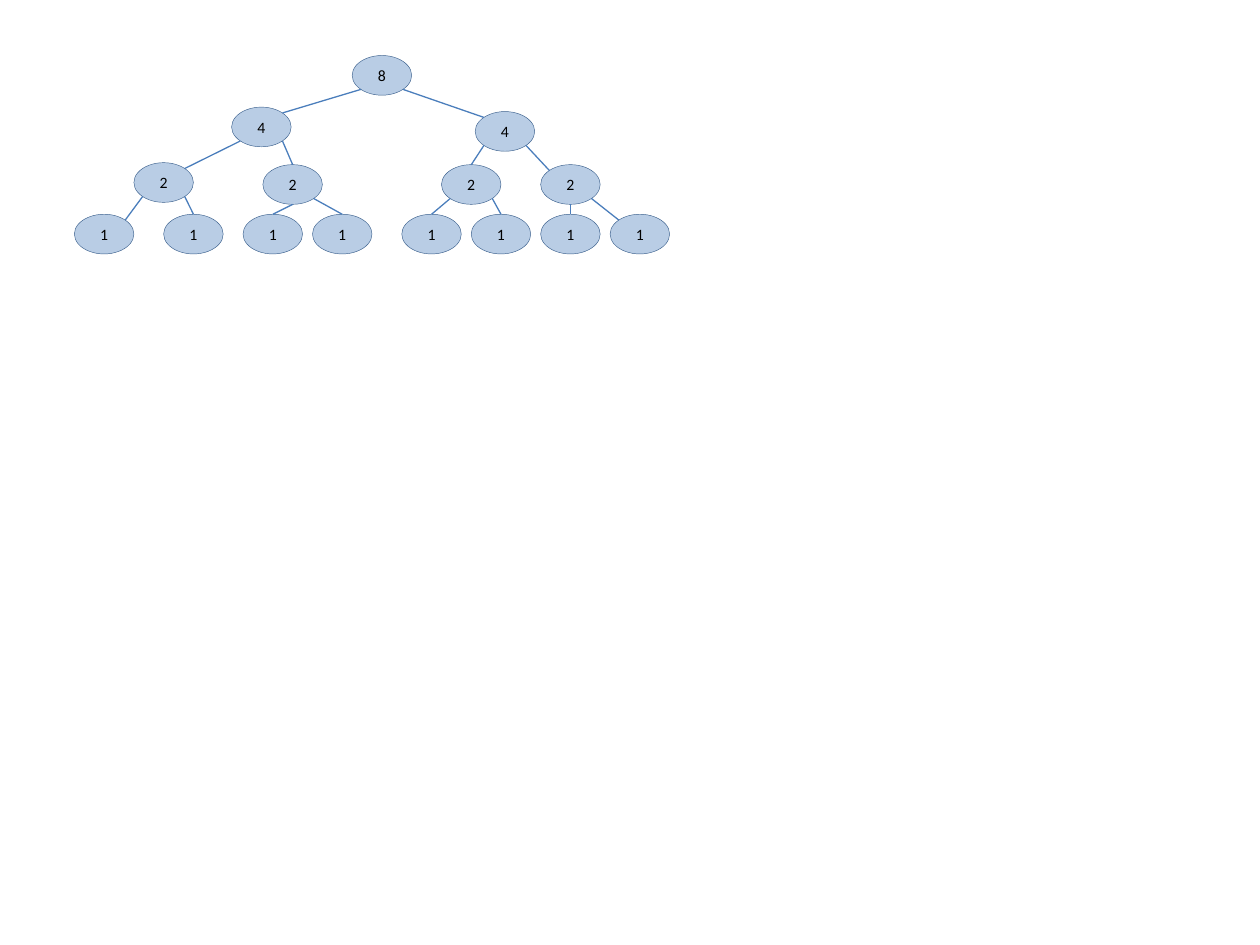
from math import sqrt

from lxml.etree import SubElement
from pptx import Presentation
from pptx.dml.color import RGBColor
from pptx.enum.shapes import MSO_CONNECTOR as Connector, MSO_SHAPE as Shape
from pptx.enum.text import MSO_ANCHOR as Anchor, PP_ALIGN as Align
from pptx.oxml.ns import qn
from pptx.util import Cm, Pt

NODE_WIDTH, NODE_HEIGHT = 1.2, 0.8
DIAGONAL = 1 / sqrt(2)
# Attachment sites on an ellipse, as fractions of its half axes
SITES = {
    "top": (0, -1),
    "bottom": (0, 1),
    "top left": (-DIAGONAL, -DIAGONAL),
    "top right": (DIAGONAL, -DIAGONAL),
    "bottom left": (-DIAGONAL, DIAGONAL),
    "bottom right": (DIAGONAL, DIAGONAL),
}


def color(hex_value):
    """Turn a hex string into a colour."""
    return RGBColor.from_string(hex_value)


def site_point(corner, site):
    """Return the position in cm of a site on the node at this corner."""
    across, down = SITES[site]
    left, top = corner
    return (left + NODE_WIDTH / 2 * (1 + across),
            top + NODE_HEIGHT / 2 * (1 + down))


class TreeSlide:
    """Holds the style and the slide on which the tree is drawn."""

    font, font_size, ink = "Calibri", 9, "000000"
    node_fill, node_line, edge_line = "B9CDE5", "3A5F8C", "4B7EBC"

    def __init__(self, slide):
        """Keep the slide to draw on."""
        self.shapes = slide.shapes

    def node(self, value, corner):
        """Draw an ellipse with a value in it."""
        left, top = corner
        ellipse = self.shapes.add_shape(
            Shape.OVAL, Cm(left), Cm(top), Cm(NODE_WIDTH), Cm(NODE_HEIGHT))
        ellipse.shadow.inherit = False
        ellipse.fill.solid()
        ellipse.fill.fore_color.rgb = color(self.node_fill)
        ellipse.line.color.rgb = color(self.node_line)
        ellipse.line.width = Pt(0.25)
        frame = ellipse.text_frame
        frame.margin_left = frame.margin_right = 0
        frame.margin_top = frame.margin_bottom = 0
        frame.vertical_anchor = Anchor.MIDDLE
        label = frame.paragraphs[0]
        label.text = str(value)
        label.alignment = Align.CENTER
        label.font.name = self.font
        label.font.size = Pt(self.font_size)
        label.font.color.rgb = color(self.ink)

    def edge(self, start, end):
        """Draw a straight line between two points."""
        line = self.shapes.add_connector(
            Connector.STRAIGHT, *(Cm(length) for length in start + end))
        line.line.color.rgb = color(self.edge_line)
        line.line.width = Pt(0.75)
        SubElement(line._element.spPr, qn("a:effectLst"))


# Level by level: value, left, top, site on the parent, site on the node.
# The children of node i are nodes 2i + 1 and 2i + 2.
NODES = [
    (8, 7.1, 1.12, None, None),
    (4, 4.67, 2.16, "bottom left", "top right"),
    (4, 9.58, 2.25, "bottom right", "top left"),
    (2, 2.7, 3.28, "bottom left", "top right"),
    (2, 5.3, 3.32, "bottom right", "top"),
    (2, 8.9, 3.32, "bottom left", "top"),
    (2, 10.9, 3.32, "bottom right", "top left"),
    (1, 1.5, 4.32, "bottom left", "top right"),
    (1, 3.3, 4.32, "bottom right", "top"),
    (1, 4.9, 4.32, "bottom", "top"),
    (1, 6.3, 4.32, "bottom right", "top"),
    (1, 8.1, 4.32, "bottom left", "top"),
    (1, 9.5, 4.32, "bottom right", "top"),
    (1, 10.9, 4.32, "bottom", "top"),
    (1, 12.3, 4.32, "bottom right", "top left"),
]

presentation = Presentation()
presentation.slide_width, presentation.slide_height = Cm(25.4), Cm(19.05)
tree = TreeSlide(presentation.slides.add_slide(presentation.slide_layouts[6]))

corners = [(left, top) for _, left, top, _, _ in NODES]
for index, (value, _, _, parent_site, own_site) in enumerate(NODES):
    tree.node(value, corners[index])
    if parent_site:
        parent_corner = corners[(index - 1) // 2]
        tree.edge(site_point(parent_corner, parent_site),
                  site_point(corners[index], own_site))

presentation.save("out.pptx")
